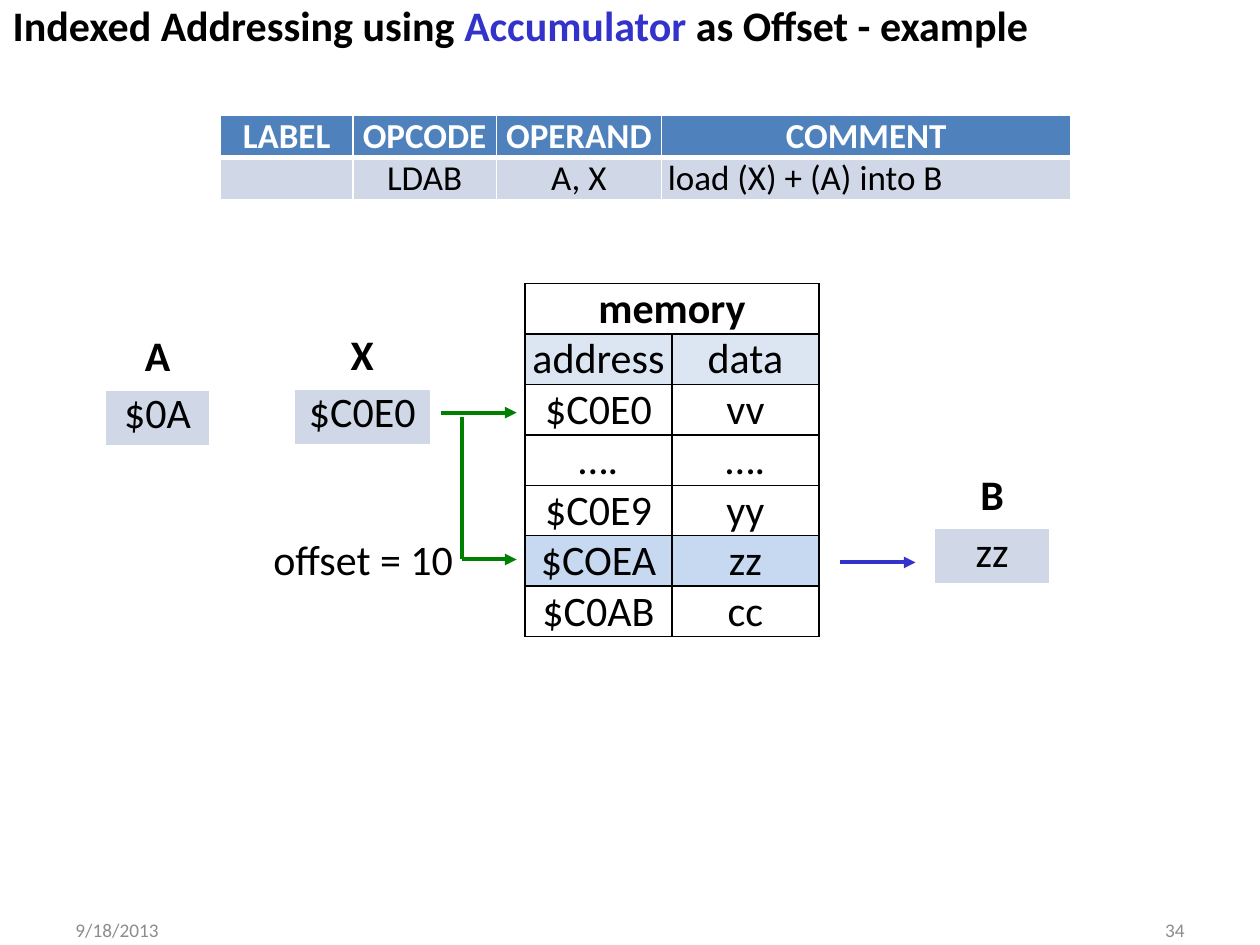
from dataclasses import dataclass

from lxml import etree
from pptx import Presentation
from pptx.dml.color import RGBColor
from pptx.enum import shapes, text
from pptx.oxml import ns
from pptx.util import Pt


@dataclass(frozen=True)
class Theme:
    font: str = "Calibri"
    black: str = "000000"
    white: str = "FFFFFF"
    gray: str = "8C8C8C"
    blue: str = "3333CC"
    green: str = "008000"
    head: str = "4F81BD"
    band: str = "D0D8E8"
    pale: str = "DCE6F2"
    mark: str = "C6D9F1"
    big: int = 24
    mid: int = 20
    small: int = 11
    thin: int = 1
    thick: int = 3
    line: float = 2.25


THEME = Theme()
ALIGN = text.PP_ALIGN


def write(frame, words, size=THEME.big, color=THEME.black, bold=False,
          align=ALIGN.LEFT):
    para = frame.paragraphs[0]
    para.alignment = align
    run = para.add_run()
    run.text = words
    font = run.font
    font.name, font.size, font.bold = THEME.font, Pt(size), bold
    font.color.rgb = RGBColor.from_string(color)


def add_text(slide, box, fit=True):
    frame = slide.shapes.add_textbox(*map(Pt, box)).text_frame
    frame.word_wrap = not fit
    if fit:
        frame.auto_size = text.MSO_AUTO_SIZE.SHAPE_TO_FIT_TEXT
        frame.margin_left = frame.margin_right = 0
        frame.margin_top = frame.margin_bottom = 0
    else:
        frame.vertical_anchor = text.MSO_ANCHOR.MIDDLE
    return frame


def add_line(parts, start, end, color, arrow=True):
    line = parts.add_connector(shapes.MSO_CONNECTOR.STRAIGHT,
                               *map(Pt, (*start, *end)))
    line.line.color.rgb = RGBColor.from_string(color)
    line.line.width = Pt(THEME.line)
    if arrow:
        tail = etree.SubElement(line.line._get_or_add_ln(), ns.qn("a:tailEnd"))
        tail.set("type", "triangle")
    etree.SubElement(line._element.spPr, ns.qn("a:effectLst"))


def edge(cell, color, base=THEME.thin):
    props = cell._tc.get_or_add_tcPr()
    for spot, side in enumerate("LRTB"):
        width = base if side == "B" else THEME.thin
        line = etree.Element(ns.qn(f"a:ln{side}"), w=str(Pt(width)))
        fill = etree.SubElement(line, ns.qn("a:solidFill"))
        etree.SubElement(fill, ns.qn("a:srgbClr"), val=color)
        props.insert(spot, line)


def add_grid(slide, box, cols, rows):
    left, top, width, height = box
    grid = slide.shapes.add_table(rows, len(cols), *map(Pt, box)).table
    for col, share in zip(grid.columns, cols):
        col.width = Pt(width * share / sum(cols))
    for row in grid.rows:
        row.height = Pt(height / rows)
    return grid


def fill_cell(cell, words, fill=None, line=THEME.white, base=THEME.thin,
              left=0, foot=0, align=ALIGN.CENTER, **style):
    cell.margin_left, cell.margin_bottom = Pt(left), Pt(foot)
    cell.margin_right = cell.margin_top = 0
    write(cell.text_frame, words, align=align, **style)
    if fill:
        cell.fill.solid()
        cell.fill.fore_color.rgb = RGBColor.from_string(fill)
    else:
        cell.fill.background()
    edge(cell, line, base)


def add_title(slide, box):
    frame = add_text(slide, box)
    write(frame, "Indexed Addressing using ", bold=True)
    write(frame, "Accumulator", bold=True, color=THEME.blue)
    write(frame, " as Offset - example", bold=True)


def add_code(slide, box):
    heads = "LABEL", "OPCODE", "OPERAND", "COMMENT"
    body = "", "LDAB", "A, X", "load (X) + (A) into B"
    grid = add_grid(slide, box, (1.05, 1.14, 1.31, 3.25), 2)
    for col, (head, words) in enumerate(zip(heads, body)):
        note = head == "COMMENT"
        fill_cell(grid.cell(0, col), head, THEME.head, base=THEME.thick,
                  size=THEME.mid, color=THEME.white, bold=True)
        fill_cell(grid.cell(1, col), words, THEME.band, size=THEME.mid,
                  left=3.6 if note else 0,
                  align=ALIGN.LEFT if note else ALIGN.CENTER)


def add_store(slide, box, name, value):
    grid = add_grid(slide, box, (1,), 2)
    fill_cell(grid.cell(0, 0), name, base=THEME.thick, foot=3.6, bold=True)
    fill_cell(grid.cell(1, 0), value, THEME.band, foot=3.6)


def add_memory(slide, box):
    rows = (
        (None, "memory", ""),
        (THEME.pale, "address", "data"),
        (None, "$C0E0", "vv"),
        (None, "….", "…."),
        (None, "$C0E9", "yy"),
        (THEME.mark, "$COEA", "zz"),
        (THEME.white, "$C0AB", "cc"),
    )
    grid = add_grid(slide, box, (1, 1), len(rows))
    grid.cell(0, 0).merge(grid.cell(0, 1))
    for row, (fill, *pair) in enumerate(rows):
        for col, words in enumerate(pair):
            fill_cell(grid.cell(row, col), words, fill, THEME.black,
                      bold=row == 0)


def add_offset(slide, box):
    left, top, width, height = box
    right, base = left + width, top + height
    bend = left + 12.2
    add_line(slide.shapes, (left, top), (right, top), THEME.green)
    group = slide.shapes.add_group_shape().shapes
    add_line(group, (bend, base), (right, base), THEME.green)
    add_line(group, (bend, base), (bend, top + 2.6), THEME.green, arrow=False)
    write(add_text(slide, (left - 95.8, base - 15, 104.4, 28.8)), "offset = 10")


def add_foot(slide, box):
    left, top, width, height = box
    half = 168
    for x, words, align in ((left, "9/18/2013", ALIGN.LEFT),
                            (left + width - half, "34", ALIGN.RIGHT)):
        frame = add_text(slide, (x, top, half, height), fit=False)
        write(frame, words, size=THEME.small, color=THEME.gray, align=align)


def main():
    deck = Presentation()
    deck.slide_width, deck.slide_height = Pt(720), Pt(540)
    slide = deck.slides.add_slide(deck.slide_layouts[6])
    add_foot(slide, (36, 524.9, 648, 13))
    add_title(slide, (7.2, 0, 586.8, 28.8))
    add_code(slide, (126, 66, 486, 48))
    add_store(slide, (60, 189.6, 60, 64.8), "A", "$0A")
    add_store(slide, (168, 189, 78, 64.8), "X", "$C0E0")
    add_store(slide, (534, 268.8, 66, 64.8), "B", "zz")
    add_memory(slide, (300, 162, 168, 201.6))
    add_offset(slide, (252, 235.8, 43.2, 83.9))
    add_line(slide.shapes, (480, 321.4), (523.2, 321.4), THEME.blue)
    deck.save("out.pptx")


if __name__ == "__main__":
    main()
